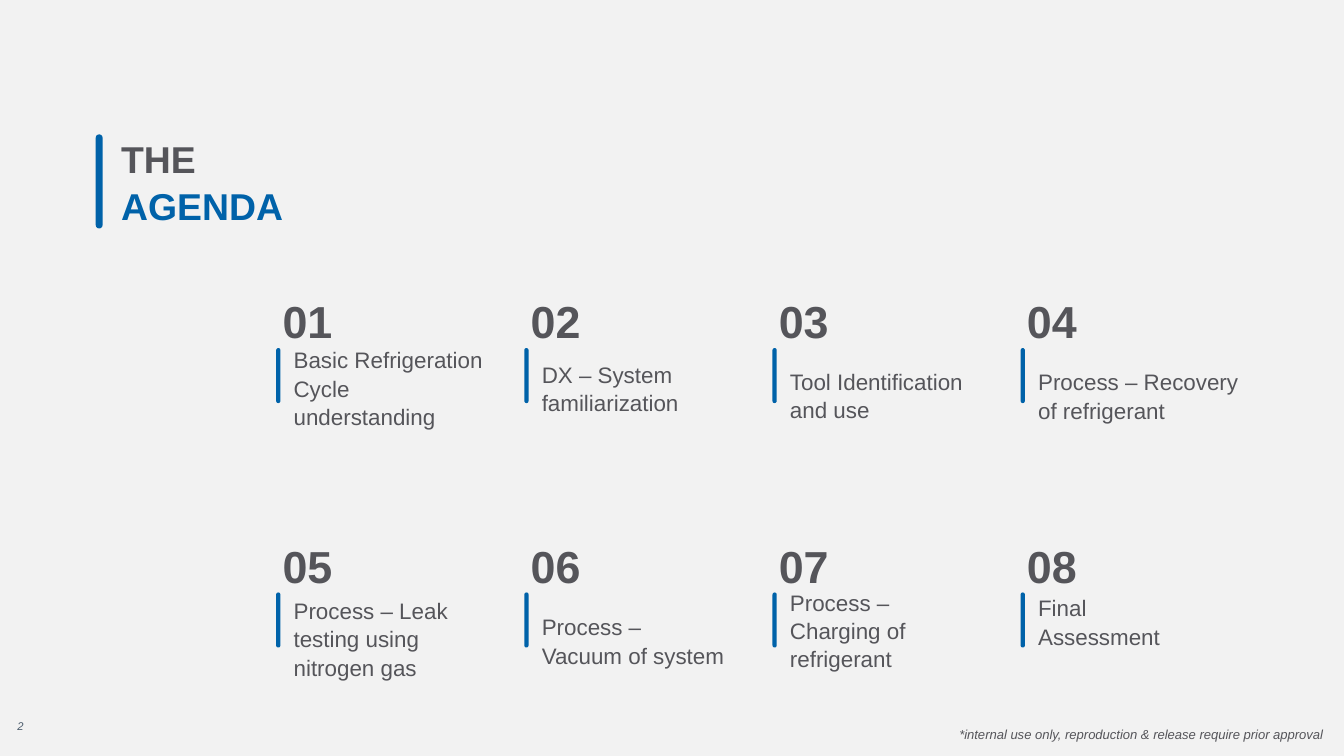
"""Build the training agenda slide."""
from pptx import Presentation
from pptx.dml.color import RGBColor
from pptx.enum.shapes import MSO_SHAPE as Shape
from pptx.enum.text import MSO_ANCHOR as Anchor, MSO_AUTO_SIZE as Fit, PP_ALIGN as Align
from pptx.util import Cm, Pt

GREY, BLUE, SLATE, PALE = "55555A", "0062A9", "4D5D6D", "F2F2F2"
LEFT, TOP, STEP, DROP, COLS = 5.09, 5.26, 4.69, 4.62, 4

ITEMS = [
    ("Basic Refrigeration Cycle understanding", 1.34, 3.76, 1.45),
    ("DX – System familiarization", 1.34, 3.45, 1.47),
    ("Tool Identification and use", 1.32, 3.68, 1.78),
    ("Process – Recovery of refrigerant", 1.34, 3.94, 1.75),
    ("Process – Leak testing using nitrogen gas", 1.37, 3.33, 1.63),
    ("Process – Vacuum of system", 1.45, 3.58, 1.55),
    ("Process – Charging of refrigerant", 1.37, 3.33, 1.32),
    ("Final Assessment", 1.37, 3.33, 0.99),
]


def rgb(code):
    return RGBColor.from_string(code)


class Deck:
    def __init__(self, wide, high):
        self.prs = Presentation()
        self.prs.slide_width, self.prs.slide_height = Cm(wide), Cm(high)
        self.slide = self.prs.slides.add_slide(self.prs.slide_layouts[5])
        self.font = "Arial"
        fill = self.slide.background.fill
        fill.solid()
        fill.fore_color.rgb = rgb(PALE)

    def style(self, box, text, size, hues, pads, anchor, bold, slant):
        frame = box.text_frame
        frame.text = text
        frame.word_wrap = True
        frame.auto_size = Fit.NONE
        frame.vertical_anchor = anchor
        side, edge = pads
        frame.margin_left = frame.margin_right = Cm(side)
        frame.margin_top = frame.margin_bottom = Cm(edge)
        for para, hue in zip(frame.paragraphs, hues):
            para.alignment = Align.LEFT
            para.line_spacing = 1.05
            for run in para.runs:
                font = run.font
                font.name, font.size = self.font, Pt(size)
                font.bold, font.italic = bold, slant
                font.color.rgb = rgb(hue)

    def title(self, text, x, y, w, h, hues):
        box = self.slide.shapes.title
        box.left, box.top, box.width, box.height = Cm(x), Cm(y), Cm(w), Cm(h)
        self.style(box, text, 20, hues, (0.05, 0.05), Anchor.MIDDLE, True, False)

    def label(self, text, x, y, w, h, size, hue=GREY, pads=(0.05, 0.05),
              anchor=Anchor.TOP, bold=False, slant=False):
        box = self.slide.shapes.add_textbox(Cm(x), Cm(y), Cm(w), Cm(h))
        self.style(box, text, size, [hue], pads, anchor, bold, slant)

    def bar(self, x, y, w, h):
        bar = self.slide.shapes.add_shape(
            Shape.ROUNDED_RECTANGLE, Cm(x), Cm(y), Cm(w), Cm(h))
        bar.adjustments[0] = 0.5
        bar.shadow.inherit = False
        bar.fill.solid()
        bar.fill.fore_color.rgb = rgb(BLUE)
        bar.line.fill.background()


def main():
    deck = Deck(25.4, 14.29)
    deck.title("THE\nAGENDA", 2.24, 2.57, 4.9, 1.7, [GREY, BLUE])
    deck.bar(1.81, 2.54, 0.13, 1.78)
    for i, (text, gap, wide, high) in enumerate(ITEMS):
        row, col = divmod(i, COLS)
        x, y = LEFT + col * STEP, TOP + row * DROP
        deck.label(f"{i + 1:02}", x, y, 1.73, 1.45, 24, pads=(0.25, 0.25), bold=True)
        deck.bar(x + 0.13, y + 1.32, 0.08, 1.04)
        deck.label(text, x + 0.41, y + gap, wide, high, 12, anchor=Anchor.MIDDLE)
    deck.label("*internal use only, reproduction & release require prior approval",
               17.88, 13.59, 7.52, 0.56, 7, pads=(0.25, 0.13), slant=True)
    deck.label("2", 0.33, 13.59, 1.17, 0.53, 6, SLATE, pads=(0, 0), slant=True)
    deck.prs.save("out.pptx")


if __name__ == "__main__":
    main()
